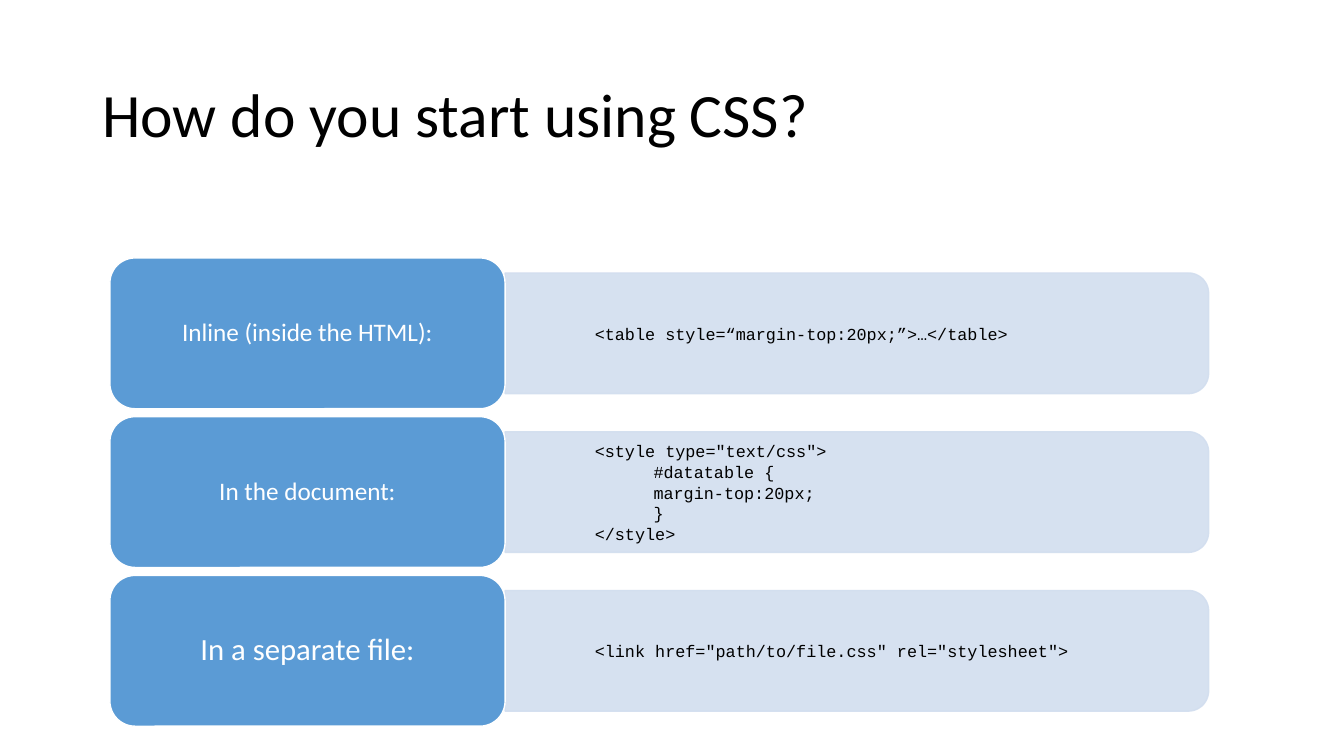
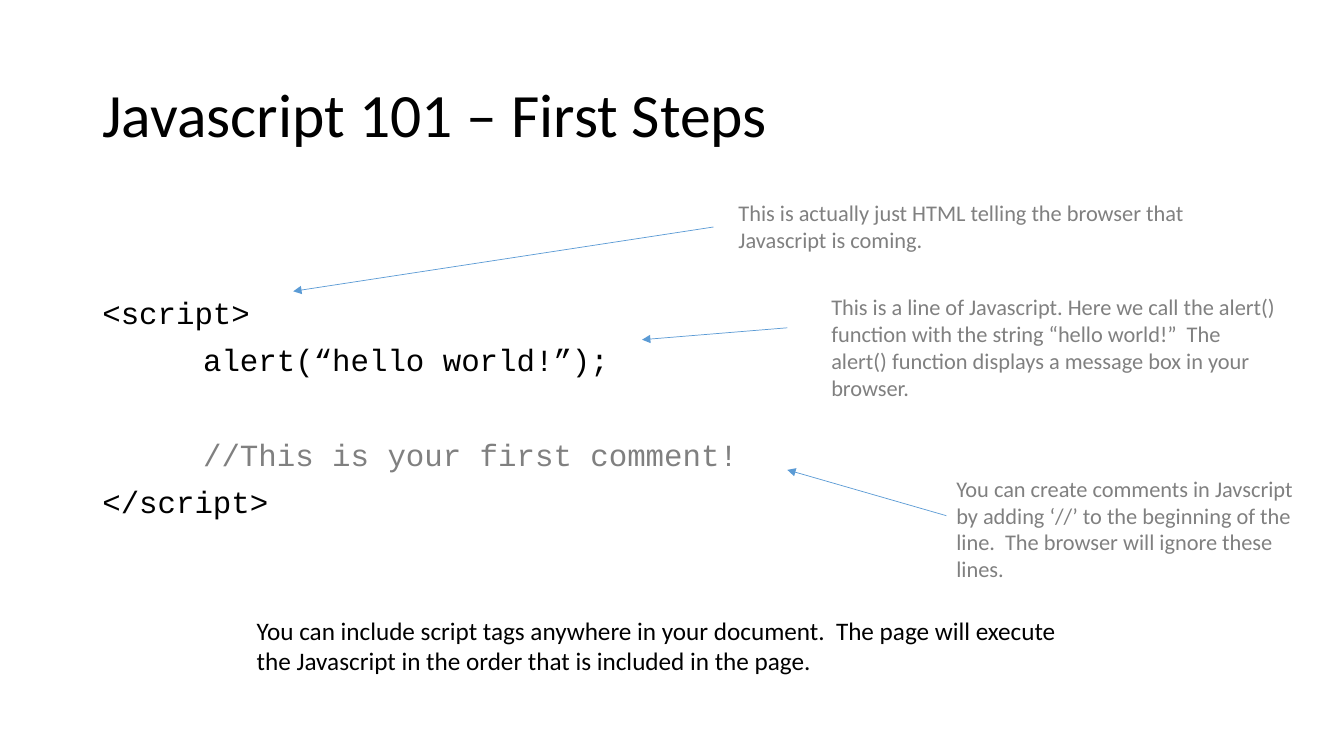
from math import cos, radians, sin

from lxml.etree import SubElement
from pptx import Presentation
from pptx.dml.color import RGBColor
from pptx.enum.shapes import MSO_CONNECTOR, MSO_SHAPE
from pptx.enum.text import MSO_ANCHOR, PP_ALIGN
from pptx.oxml.ns import qn
from pptx.util import Cm, Pt

BLACK = RGBColor(0x00, 0x00, 0x00)
WHITE = RGBColor(0xFF, 0xFF, 0xFF)
GRAY = RGBColor(0x80, 0x80, 0x80)
BLUE = RGBColor(0x5B, 0x9B, 0xD5)
PALE_BLUE = RGBColor(0xD2, 0xDE, 0xEF)

BODY_FONT = "Calibri"
CODE_FONT = "Courier New"

ROW_LEFT, ROW_TOP, ROW_PITCH = 2.77, 6.5, 4.0
LABEL_WIDTH, LABEL_HEIGHT = 9.96, 3.8
PANEL_WIDTH, PANEL_HEIGHT, PANEL_RADIUS = 17.73, 3.04, 0.51
PANEL_INDENT = 2.26
STYLE_INDENT = 1.48
SCRIPT_INDENT = 2.54
SCRIPT_PITCH = 33.75

METHODS = [
    ("Inline (inside the HTML):", 18,
     [("<table style=“margin-top:20px;”>…</table>", 0)]),
    ("In the document:", 18,
     [('<style type="text/css">', 0),
      ("#datatable {", STYLE_INDENT),
      ("margin-top:20px;", STYLE_INDENT),
      ("}", STYLE_INDENT),
      ("</style>", 0)]),
    ("In a separate file:", 22,
     [('<link href="path/to/file.css" rel="stylesheet">', 0)]),
]

SCRIPT_LINES = [
    ("<script>", 0, BLACK, 0),
    ("alert(“hello world!”);", SCRIPT_INDENT, BLACK, 0),
    ("//This is your first comment!", SCRIPT_INDENT, GRAY, SCRIPT_PITCH),
    ("</script>", 0, BLACK, 0),
]


def add_span(para, text, size, color, font=BODY_FONT):
    span = para.add_run()
    span.text = text
    span.font.name = font
    span.font.size = Pt(size)
    span.font.color.rgb = color


def add_text(page, left, top, width, height, text, size, color=BLACK):
    box = page.shapes.add_textbox(Cm(left), Cm(top), Cm(width), Cm(height))
    box.text_frame.word_wrap = True
    add_span(box.text_frame.paragraphs[0], text, size, color)
    return box


def add_title(page, text):
    box = add_text(page, 2.33, 1.12, 29.21, 3.68, text, 44)
    box.text_frame.vertical_anchor = MSO_ANCHOR.MIDDLE
    box.text_frame.paragraphs[0].line_spacing = 0.9


def add_code_line(frame, index, text, indent, size, pitch, color):
    para = frame.add_paragraph() if index else frame.paragraphs[0]
    para.alignment = PP_ALIGN.LEFT
    para.line_spacing = Pt(pitch)
    para._p.get_or_add_pPr().set("marL", str(Cm(indent)))
    add_span(para, text, size, color, CODE_FONT)
    return para


def paint(shape, fill, line):
    shape.shadow.inherit = False
    shape.fill.solid()
    shape.fill.fore_color.rgb = fill
    shape.line.color.rgb = line
    shape.line.width = Pt(1)
    shape.text_frame.word_wrap = True
    shape.text_frame.vertical_anchor = MSO_ANCHOR.MIDDLE


def corner_points(center_x, center_y, start_angle):
    return [(Cm(center_x + PANEL_RADIUS * cos(radians(angle))),
             Cm(center_y + PANEL_RADIUS * sin(radians(angle))))
            for angle in range(start_angle, start_angle + 91, 6)]


def add_panel(page, top, lines):
    left = ROW_LEFT + LABEL_WIDTH
    bottom = top + PANEL_HEIGHT
    corner_x = left + PANEL_WIDTH - PANEL_RADIUS
    outline = page.shapes.build_freeform(Cm(left), Cm(top))
    outline.add_line_segments(
        corner_points(corner_x, top + PANEL_RADIUS, -90)
        + corner_points(corner_x, bottom - PANEL_RADIUS, 0)
        + [(Cm(left), Cm(bottom))])
    panel = outline.convert_to_shape()
    paint(panel, PALE_BLUE, PALE_BLUE)
    for color in panel._element.spPr.iter(qn("a:srgbClr")):
        SubElement(color, qn("a:alpha"), val="90000")
    frame = panel.text_frame
    frame.margin_left = Cm(PANEL_INDENT)
    for index, (text, indent) in enumerate(lines):
        add_code_line(frame, index, text, indent, 12, 14.8, BLACK)


def add_label(page, top, text, size):
    label = page.shapes.add_shape(
        MSO_SHAPE.ROUNDED_RECTANGLE,
        Cm(ROW_LEFT), Cm(top), Cm(LABEL_WIDTH), Cm(LABEL_HEIGHT))
    paint(label, BLUE, WHITE)
    para = label.text_frame.paragraphs[0]
    para.alignment = PP_ALIGN.CENTER
    para.line_spacing = 0.9
    add_span(para, text, size, WHITE)


def add_script(page):
    box = page.shapes.add_textbox(Cm(2.33), Cm(7.01), Cm(27.41), Cm(6.2))
    box.text_frame.word_wrap = True
    for index, (text, indent, color, gap) in enumerate(SCRIPT_LINES):
        para = add_code_line(box.text_frame, index, text, indent, 22,
                             SCRIPT_PITCH, color)
        para.space_before = Pt(gap)


def add_arrow(page, start_x, start_y, end_x, end_y):
    arrow = page.shapes.add_connector(
        MSO_CONNECTOR.STRAIGHT,
        Cm(start_x), Cm(start_y), Cm(end_x), Cm(end_y))
    arrow.line.color.rgb = BLUE
    arrow.line.width = Pt(0.5)
    SubElement(arrow.line._get_or_add_ln(), qn("a:tailEnd"), type="triangle")
    SubElement(arrow._element.spPr, qn("a:effectLst"))
    return arrow


def add_page(deck, title):
    page = deck.slides.add_slide(deck.slide_layouts[6])
    add_title(page, title)
    return page


def build_css_page(deck):
    page = add_page(deck, "How do you start using CSS?")
    for row, (label, size, lines) in enumerate(METHODS):
        top = ROW_TOP + row * ROW_PITCH
        add_panel(page, top + (LABEL_HEIGHT - PANEL_HEIGHT) / 2, lines)
        add_label(page, top, label, size)


def build_script_page(deck):
    page = add_page(deck, "Javascript 101 – First Steps")
    add_script(page)
    add_text(page, 18.36, 4.9, 11.76, 1.63,
             "This is actually just HTML telling the browser that "
             "Javascript is coming.", 16, GRAY)
    add_text(page, 20.7, 7.26, 11.76, 2.31,
             "This is a line of Javascript. Here we call the alert() function "
             "with the string “hello world!”  The alert() function displays "
             "a message box in your browser.", 16, GRAY)
    add_text(page, 6.22, 15.37, 20.7, 1.8,
             "You can include script tags anywhere in your document.  The page "
             "will execute the Javascript in the order that is included in "
             "the page.", 18)
    comment_note = add_text(
        page, 23.85, 11.84, 9.63, 2.31,
        "You can create comments in Javscript by adding ‘//’ to the "
        "beginning of the line.  The browser will ignore these lines.",
        16, GRAY)
    add_arrow(page, 17.98, 5.72, 7.39, 7.34)
    add_arrow(page, 19.84, 8.26, 16.18, 8.56)
    comment_arrow = add_arrow(page, 23.85, 13, 19.84, 11.84)
    comment_arrow.begin_connect(comment_note, 1)


def main():
    deck = Presentation()
    deck.slide_width = Cm(33.87)
    deck.slide_height = Cm(19.05)
    build_css_page(deck)
    build_script_page(deck)
    deck.save("out.pptx")


if __name__ == "__main__":
    main()
